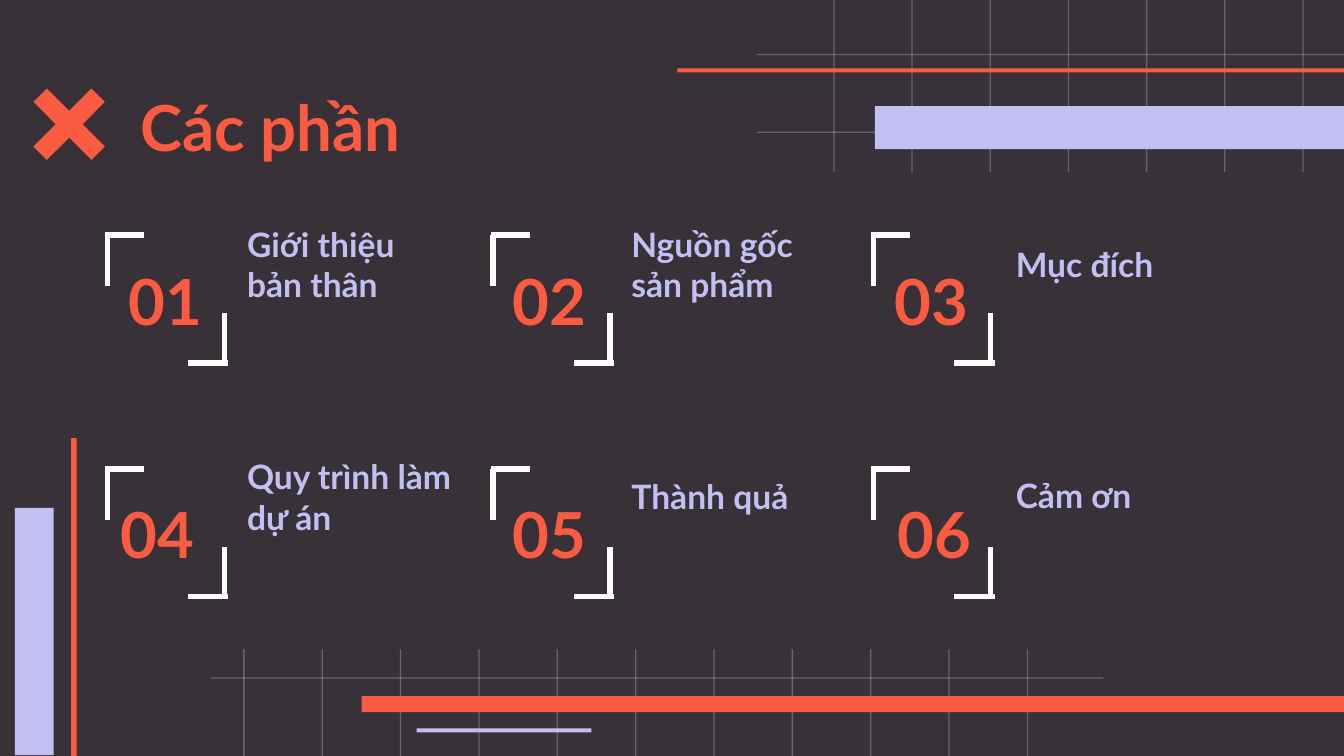
from lxml.etree import SubElement
from pptx import Presentation
from pptx.dml.color import RGBColor
from pptx.enum.shapes import MSO_CONNECTOR as Connector, MSO_SHAPE as Shape
from pptx.enum.text import MSO_ANCHOR as Anchor, PP_ALIGN as Align
from pptx.oxml.ns import qn
from pptx.util import Inches, Pt

DARK, CORAL, LILAC, WHITE = "383138", "FA5B41", "C2C0F2", "FFFFFF"
HAIR = 0.01

SECTIONS = ["Giới thiệu bản thân", "Nguồn gốc sản phẩm", "Mục đích",
            "Quy trình làm dự án", "Thành quả", "Cảm ơn"]
FRAME_LEFTS = [0.8, 3.67, 6.5]
FRAME_TOPS = [1.75, 3.49]
NUMBER_LEFTS = [0.79, 3.65, 6.49, 0.73, 3.65, 6.51]
NUMBER_TOPS = [2.02, 3.75]
LABEL_LEFT, LABEL_STEP = 1.74, 2.86
LABEL_TOPS = [1.75, 1.75, 1.75, 3.48, 3.48, 3.47]


def color(value):
    return RGBColor.from_string(value)


def add_block(shapes, box, fill, kind=Shape.RECTANGLE, alpha=None):
    block = shapes.add_shape(kind, *map(Inches, box))
    block.shadow.inherit = False
    block.fill.solid()
    block.fill.fore_color.rgb = color(fill)
    block.line.fill.background()
    if alpha:
        tint = block.fill._xPr.find(qn("a:solidFill"))[0]
        SubElement(tint, qn("a:alpha"), val=str(alpha * 1000))
    return block


def add_stroke(shapes, start, end):
    stroke = shapes.add_connector(Connector.STRAIGHT, *map(Inches, (*start, *end)))
    stroke.line.color.rgb = color(WHITE)
    stroke.line.width = Pt(3)
    SubElement(stroke._element.spPr, qn("a:effectLst"))


def add_text(page, box, text, size, fill, align=Align.LEFT):
    frame = page.shapes.add_textbox(*map(Inches, box)).text_frame
    margins = {f"margin_{side}": Inches(0.1)
               for side in ("left", "right", "top", "bottom")}
    settings = {"word_wrap": True, "vertical_anchor": Anchor.MIDDLE, **margins}
    for name, value in settings.items():
        setattr(frame, name, value)
    para = frame.paragraphs[0]
    para.alignment = align
    span = para.add_run()
    span.text = text
    for name, value in {"name": "Lato", "size": Pt(size), "bold": True}.items():
        setattr(span.font, name, value)
    span.font.color.rgb = color(fill)


def draw_grid(page, box, first, last, columns, rows):
    """Hairline grid: evenly spaced columns from first to last, given rows."""
    left, top, width, height = box
    shapes = page.shapes.add_group_shape().shapes
    step = (last - first) / (columns - 1)
    for i in range(columns):
        add_block(shapes, (left + first + i * step, top, HAIR, height), LILAC, alpha=35)
    for row in rows:
        add_block(shapes, (left, top + row, width, HAIR), LILAC, alpha=35)


def draw_backdrop(page):
    page.background.fill.solid()
    page.background.fill.fore_color.rgb = color(DARK)
    # Cross beside the title
    cross = add_block(page.shapes, (0.1, 0.51, 0.83, 0.83), CORAL, Shape.MATH_MULTIPLY)
    cross.adjustments[0] = 0.17
    # Grids at the top right and the bottom
    draw_grid(page, (5.63, -0.44, 4.64, 1.72), 0.57, 4.06, 7, [0.84, 1.42])
    draw_grid(page, (1.57, 4.83, 6.64, 3.09), 0.24, 6.07, 11, [0.21])
    # Bars
    bars = [((2.69, 5.18, 7.36, 0.12), CORAL), ((0.11, 3.78, 0.29, 1.84), LILAC),
            ((0.53, 3.26, 0.04, 2.37), CORAL), ((3.1, 5.42, 1.3, 0.03), LILAC),
            ((6.51, 0.79, 3.58, 0.32), LILAC), ((5.04, 0.51, 4.96, 0.03), CORAL)]
    for box, fill in bars:
        add_block(page.shapes, box, fill)


def draw_brackets(page, box):
    """Opposite corner marks of a box, with ends overlapping to fill the corner."""
    left, top, width, height = box
    right, bottom = left + width, top + height
    shapes = page.shapes.add_group_shape().shapes
    add_stroke(shapes, (left, top + 0.38), (left, top))
    add_stroke(shapes, (left - 0.02, top), (left + 0.27, top))
    add_stroke(shapes, (right, bottom - 0.37), (right, bottom))
    add_stroke(shapes, (right + 0.03, bottom), (right - 0.27, bottom))


def draw_section(page, index, name):
    row, column = divmod(index, len(FRAME_LEFTS))
    label = (LABEL_LEFT + column * LABEL_STEP, LABEL_TOPS[index], 1.76, 0.43)
    add_text(page, label, name, 18, LILAC)
    number = (NUMBER_LEFTS[index], NUMBER_TOPS[row], 0.88, 0.43)
    add_text(page, number, f"{index + 1:02}", 34, CORAL, Align.CENTER)
    draw_brackets(page, (FRAME_LEFTS[column], FRAME_TOPS[row], 0.87, 0.95))


def main():
    deck = Presentation()
    # Widescreen, 16:9
    deck.slide_width = Inches(10)
    deck.slide_height = Inches(10 * 9 / 16)
    page = deck.slides.add_slide(deck.slide_layouts[6])
    draw_backdrop(page)
    add_text(page, (0.95, 0.59, 8.08, 0.69), "Các phần", 34, CORAL)
    for index, name in enumerate(SECTIONS):
        draw_section(page, index, name)
    deck.save("out.pptx")


if __name__ == "__main__":
    main()
